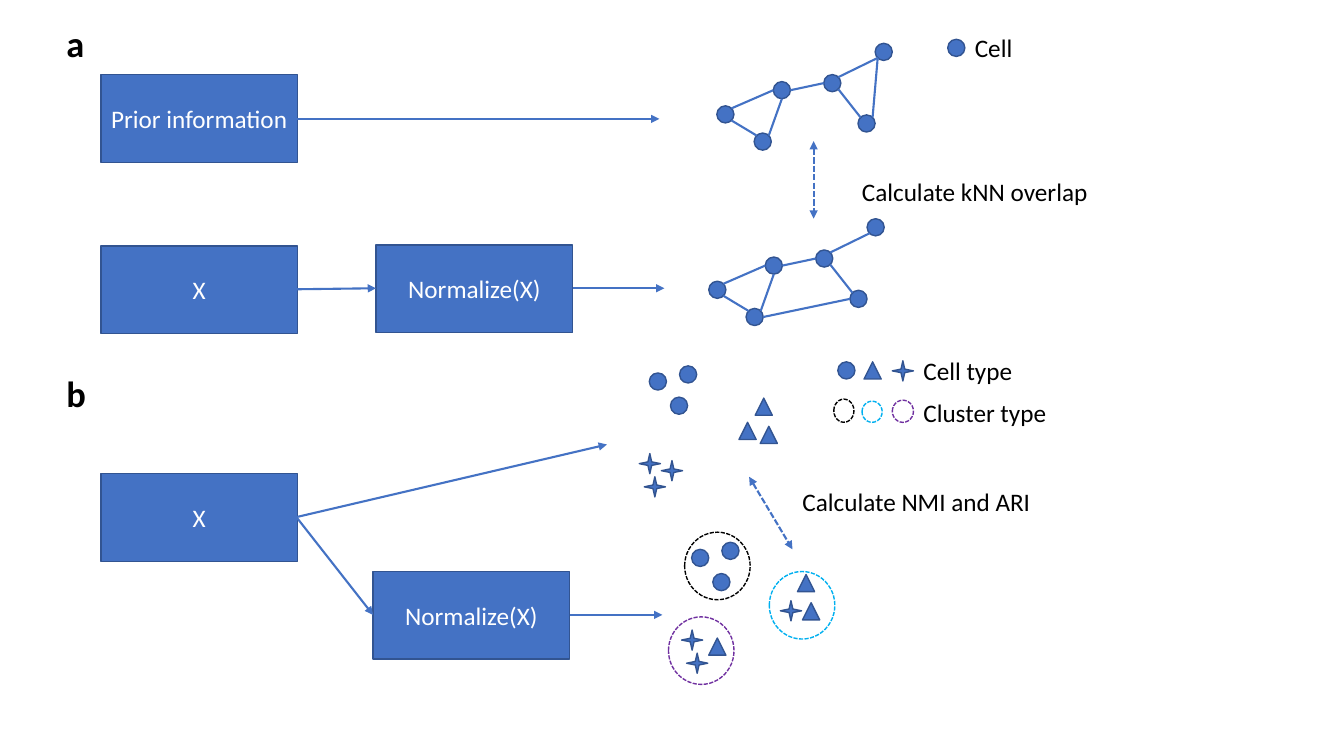
from pptx import Presentation
from pptx.dml.color import RGBColor
from pptx.enum.dml import MSO_LINE
from pptx.enum.shapes import MSO_CONNECTOR, MSO_SHAPE
from pptx.enum.text import MSO_ANCHOR, MSO_AUTO_SIZE, PP_ALIGN
from pptx.oxml.ns import qn
from pptx.util import Pt
from lxml import etree

PX = 9144
FONT = "Calibri"
BLUE, EDGE, WHITE, BLACK = "4472C4", "325491", "FFFFFF", "000000"
CYAN, PURPLE = "00B0F0", "7030A0"

BOX_W, BOX_H = 195, 87
BOXES = [
    ("Prior information", 100, 74),
    ("X", 100, 244),
    ("Normalize(X)", 373, 243),
    ("X", 100, 470),
    ("Normalize(X)", 370, 567),
]
ARROWS = [
    (294, 118, 654, 118),
    (294, 287, 373, 286),
    (568, 286, 659, 286),
    (294, 513, 602, 441),
    (294, 513, 370, 610),
    (565, 610, 657, 610),
]
COMPARISONS = [(807, 140, 807, 217), (743, 473, 786, 545)]
LABELS = [
    ("Cell", 957, 27, 58),
    ("Calculate kNN overlap", 845, 170, 247),
    ("Cell type", 906, 348, 109),
    ("Cluster type", 906, 389, 143),
    ("Calculate NMI and ARI", 786, 478, 249),
]
PANELS = [("a", 56, 16, 38), ("b", 56, 363, 40)]

KINDS = {
    "circle": (MSO_SHAPE.OVAL, 17, 17),
    "triangle": (MSO_SHAPE.ISOSCELES_TRIANGLE, 17, 17),
    "star": (MSO_SHAPE.STAR_4_POINT, 21, 20),
}
NODES = {
    "hub": (767, 81), "west": (711, 105), "mid": (817, 74),
    "south": (748, 132), "east": (851, 114), "north": (868, 43),
}
SITES = {
    "t": (0.5, 0), "b": (0.5, 1), "l": (0, 0.5), "r": (1, 0.5),
    "tl": (0.15, 0.15), "tr": (0.85, 0.15),
    "bl": (0.15, 0.85), "br": (0.85, 0.85),
}
SHARED_LINKS = [
    ("west", "tr", "hub", "l"),
    ("west", "br", "south", "tl"),
    ("hub", "b", "south", "tr"),
    ("hub", "r", "mid", "l"),
    ("mid", "tr", "north", "bl"),
    ("east", "tl", "mid", "br"),
]
GRAPHS = [
    (0, 0, ("east", "tr", "north", "bl")),
    (-8, 174, ("east", "l", "south", "r")),
]

CLUSTER_DX, CLUSTER_DY = 42, 175
MATCHED_CELLS = [
    ("circle", 644, 370), ("circle", 665, 394), ("circle", 674, 363),
    ("triangle", 749, 395), ("triangle", 754, 423),
    ("star", 634, 450), ("star", 639, 473),
]
OTHER_CELLS = [
    ("triangle", 733, 419), ("star", 656, 457),
    ("triangle", 703, 633), ("star", 774, 596),
]
LEGEND_CELLS = [
    ("circle", 940, 39),
    ("circle", 831, 359), ("triangle", 857, 359), ("star", 885, 358),
]
RINGS = [
    (BLACK, 679, 528, 65, 67), (PURPLE, 663, 612, 65, 67), (CYAN, 763, 567, 65, 67),
    (BLACK, 827, 396, 20, 23), (CYAN, 855, 398, 20, 21), (PURPLE, 885, 397, 21, 22),
]


def rgb(value):
    return RGBColor.from_string(value)


def emu(*lengths):
    return [round(v * PX) for v in lengths]


def write(tf, text, size=18, color=BLACK, bold=False, align=PP_ALIGN.LEFT):
    p = tf.paragraphs[0]
    p.alignment = align
    r = p.add_run()
    r.text = text
    r.font.name, r.font.size, r.font.bold = FONT, Pt(size), bold
    r.font.color.rgb = rgb(color)


def add_label(text, x, y, w, h=40, **fmt):
    tf = s.shapes.add_textbox(*emu(x, y, w, h)).text_frame
    tf.word_wrap = False
    tf.auto_size = MSO_AUTO_SIZE.SHAPE_TO_FIT_TEXT
    write(tf, text, **fmt)


def add_figure(shape, x, y, w, h, fill=BLUE, line=EDGE):
    sp = s.shapes.add_shape(shape, *emu(x, y, w, h))
    sp.shadow.inherit = False
    sp.line.color.rgb, sp.line.width = rgb(line), Pt(1)
    if fill:
        sp.fill.solid()
        sp.fill.fore_color.rgb = rgb(fill)
    else:
        sp.fill.background()
        sp.line.dash_style = MSO_LINE.SQUARE_DOT
    return sp


def add_cell(kind, x, y):
    shape, w, h = KINDS[kind]
    add_figure(shape, x, y, w, h)


def add_line(x1, y1, x2, y2, ends=(), dashed=False):
    cx = s.shapes.add_connector(MSO_CONNECTOR.STRAIGHT, *emu(x1, y1, x2, y2))
    cx.line.color.rgb, cx.line.width = rgb(BLUE), Pt(1.5)
    if dashed:
        cx.line.dash_style = MSO_LINE.SQUARE_DOT
    sp_pr = cx._element.spPr
    for end in ends:
        etree.SubElement(sp_pr.find(qn("a:ln")), qn(end)).set("type", "triangle")
    etree.SubElement(sp_pr, qn("a:effectLst"))


def site(node, name, dx, dy):
    _, w, h = KINDS["circle"]
    (x, y), (fx, fy) = NODES[node], SITES[name]
    return x + dx + fx * w, y + dy + fy * h


def add_graph(dx, dy, own_link):
    for x, y in NODES.values():
        add_cell("circle", x + dx, y + dy)
    for start, out, end, into in SHARED_LINKS + [own_link]:
        add_line(*site(start, out, dx, dy), *site(end, into, dx, dy))


prs = Presentation()
prs.slide_width, prs.slide_height = emu(1333, 750)
s = prs.slides.add_slide(prs.slide_layouts[6])

for text, x, y in BOXES:
    tf = add_figure(MSO_SHAPE.RECTANGLE, x, y, BOX_W, BOX_H).text_frame
    tf.word_wrap = True
    tf.vertical_anchor = MSO_ANCHOR.MIDDLE
    write(tf, text, color=WHITE, align=PP_ALIGN.CENTER)
for graph in GRAPHS:
    add_graph(*graph)
for arrow in ARROWS:
    add_line(*arrow, ends=["a:tailEnd"])
for arrow in COMPARISONS:
    add_line(*arrow, ends=["a:headEnd", "a:tailEnd"], dashed=True)
for kind, x, y in MATCHED_CELLS:
    add_cell(kind, x, y)
    add_cell(kind, x + CLUSTER_DX, y + CLUSTER_DY)
for cell in OTHER_CELLS + LEGEND_CELLS:
    add_cell(*cell)
for color, *frame in RINGS:
    add_figure(MSO_SHAPE.OVAL, *frame, fill=None, line=color)
for label in LABELS:
    add_label(*label)
for panel in PANELS:
    add_label(*panel, h=54, size=26, bold=True)

prs.save("out.pptx")
